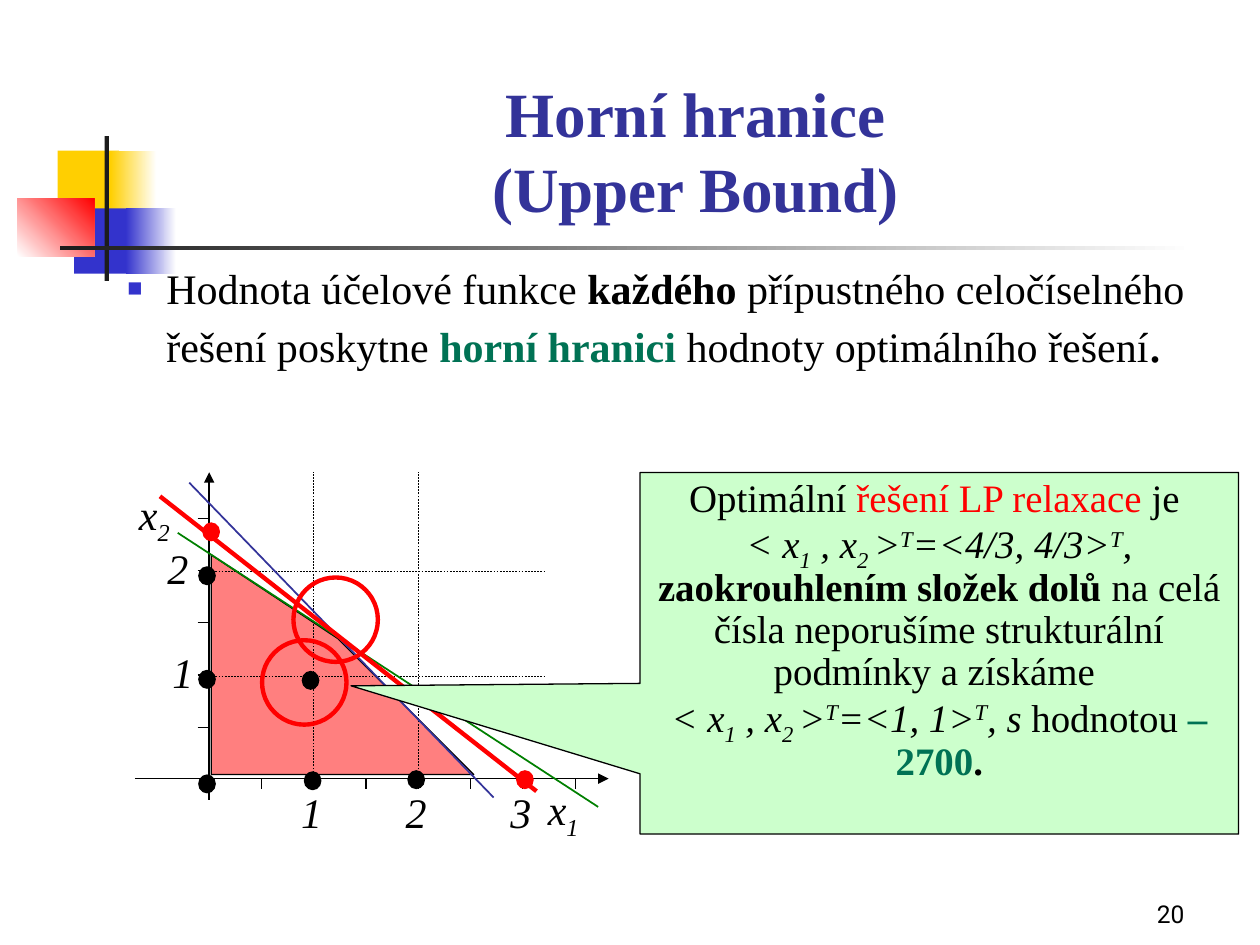
from copy import deepcopy
from typing import NamedTuple

from lxml import etree
from pptx import Presentation
from pptx.dml.color import RGBColor
from pptx.enum.dml import MSO_LINE
from pptx.enum.shapes import MSO_CONNECTOR, MSO_SHAPE
from pptx.enum.text import MSO_ANCHOR, MSO_AUTO_SIZE, PP_ALIGN
from pptx.oxml.ns import qn
from pptx.util import Inches, Pt

RECT, OVAL = MSO_SHAPE.RECTANGLE, MSO_SHAPE.OVAL
CALLOUT, STRAIGHT = MSO_SHAPE.RECTANGULAR_CALLOUT, MSO_CONNECTOR.STRAIGHT
LEFT, CENTER, RIGHT = PP_ALIGN.LEFT, PP_ALIGN.CENTER, PP_ALIGN.RIGHT
TOP, BOTTOM = MSO_ANCHOR.TOP, MSO_ANCHOR.BOTTOM
FIXED, DASH = MSO_AUTO_SIZE.NONE, MSO_LINE.DASH
SERIF, SANS = "Times New Roman", "Roboto"
COLORS = {
    "black": "000000", "white": "FFFFFF", "ink": "1C1C1C", "yellow": "FFCF01",
    "blue": "3333CC", "navy": "333399", "red": "FF0000", "green": "008000",
    "teal": "007254", "mint": "CCFFCC",
}
UNIT = 0.83
SUB, SUPER = {"italic": True, "base": -25}, {"italic": True, "base": 30}
BOLD, ITALIC = {"bold": True}, {"italic": True}


class Box(NamedTuple):
    """Left, top, width and height in inches."""
    left: float
    top: float
    width: float
    height: float

    def share(self, x, y, w, h):
        """Return the box at shares x, y with shares w, h of this one."""
        return Box(self.left + x * self.width, self.top + y * self.height,
                   w * self.width, h * self.height)

    def inches(self):
        """Return the four lengths in slide units."""
        return [Inches(value) for value in self]


def rgb(name):
    """Return the colour with this name."""
    return RGBColor.from_string(COLORS[name])


def add_xml(parent, tag, **attributes):
    """Append a drawing element to its parent."""
    return etree.SubElement(parent, qn("a:" + tag), attributes)


def add_span(para, text, size=24, color="black", font=SERIF, bold=False, italic=False, base=0):
    """Add formatted text, where a line feed makes a line break."""
    for number, line in enumerate(text.split("\n")):
        if number:
            para.add_line_break()
            para._p[-1].append(deepcopy(span._r.rPr))
        if line:
            span = para.add_run()
            span.text = line
            span.font.size, span.font.name = Pt(size), font
            span.font.bold, span.font.italic = bold, italic
            span.font.color.rgb = rgb(color)
            if base:
                span._r.get_or_add_rPr().set("baseline", str(base * 1000))


def fill_text(shape, paragraphs, align=LEFT, anchor=TOP, spacing=None, **style):
    """Write paragraphs of (text, format) spans into a shape."""
    frame = shape.text_frame
    frame.word_wrap, frame.auto_size, frame.vertical_anchor = True, FIXED, anchor
    for number, spans in enumerate(paragraphs):
        para = frame.add_paragraph() if number else frame.paragraphs[0]
        para.alignment, para.line_spacing = align, spacing
        for text, extra in spans:
            add_span(para, text, **{**style, **extra})
    return frame


def paint(shape, fill=None, line=None, weight=0.75):
    """Set the fill and outline of a shape and drop its shadow."""
    shape.shadow.inherit = False
    if fill:
        shape.fill.solid()
        shape.fill.fore_color.rgb = rgb(fill)
    else:
        shape.fill.background()
    if line:
        shape.line.color.rgb, shape.line.width = rgb(line), Pt(weight)
    else:
        shape.line.fill.background()
    return shape


def add_block(page, box, kind=RECT, **style):
    """Add a painted preset shape."""
    return paint(page.shapes.add_shape(kind, *box.inches()), **style)


def add_fade(page, box, start, end, angle=0):
    """Add a rectangle with a two-colour gradient."""
    fill = add_block(page, box).fill
    fill.gradient()
    fill.gradient_angle = angle
    for stop, name, position in zip(fill.gradient_stops, (start, end), (0, 1)):
        stop.color.rgb, stop.position = rgb(name), position


def add_ornament(page, box):
    """Draw the coloured squares and rules beside the title."""
    add_block(page, box.share(0.034, 0.1, 0.052, 0.45), fill="yellow")
    add_fade(page, box.share(0.079, 0.1, 0.039, 0.45), "yellow", "white")
    add_block(page, box.share(0.048, 0.5, 0.05, 0.45), fill="blue")
    add_fade(page, box.share(0.092, 0.5, 0.043, 0.45), "blue", "white")
    add_fade(page, box.share(0, 0.43, 0.065, 0.4), "white", "red", 45)
    add_block(page, box.share(0.074, 0, 0.0035, 1), fill="ink")
    add_fade(page, box.share(0.036, 0.76, 0.964, 0.03), "ink", "white")


def add_placeholder(page, number, box, spans, **style):
    """Move a template placeholder and write its text."""
    holder = page.placeholders[number]
    holder.left, holder.top, holder.width, holder.height = box.inches()
    return fill_text(holder, [spans], **style)


def add_body(page, box):
    """Write the bulleted statement."""
    spans = [("Hodnota účelové funkce ", {}), ("každého", BOLD),
             (" přípustného celočíselného řešení poskytne ", {}),
             ("horní hranici ", {"bold": True, "color": "teal"}),
             ("hodnoty optimálního řešení", {}), (".", {"size": 32})]
    para = add_placeholder(page, 1, box, spans, spacing=0.9).paragraphs[0]
    para.space_before = Pt(8)
    props = para._p.get_or_add_pPr()
    props.set("marL", str(Inches(0.83)))
    props.set("indent", str(Inches(-0.31)))
    add_xml(add_xml(props, "buClr"), "srgbClr", val=COLORS["blue"])
    add_xml(props, "buSzPct", val="60000")
    add_xml(props, "buFont", typeface=SERIF)
    add_xml(props, "buChar", char="■")


def add_chart_area(page, box):
    """Draw the feasible region, its axes, limits and points."""
    def spot(x, y):
        return box.left + x * UNIT, box.top + box.height - y * UNIT

    def line(start, end, color="black", weight=0.75, dash=None, arrow=False):
        ends = [Inches(value) for value in spot(*start) + spot(*end)]
        rule = page.shapes.add_connector(STRAIGHT, *ends)
        rule.line.color.rgb, rule.line.width = rgb(color), Pt(weight)
        if dash:
            rule.line.dash_style = dash
        if arrow:
            add_xml(rule._element.spPr.find(qn("a:ln")), "tailEnd", type="triangle")
        add_xml(rule._element.spPr, "effectLst")

    def around(x, y, width, height):
        left, top = spot(x, y)
        return Box(left - width / 2, top - height / 2, width, height)

    def dot(x, y, color="black"):
        add_block(page, around(x, y, 0.13, 0.14), OVAL, fill=color, line=color)

    def ring(x, y):
        add_block(page, around(x, y, 0.67, 0.67), OVAL, line="red", weight=2.5)

    def label(x, y, spans, width=1.0, align=CENTER):
        text_box = page.shapes.add_textbox(*around(x, y, width, 0.5).inches())
        fill_text(text_box, [spans], align=align, italic=True)

    corners = [[Inches(value) for value in spot(*corner)] for corner in
               ((0.02, 2.14), (0.02, 0.04), (2.53, 0.04), (1.23, 1.34))]
    outline = page.shapes.build_freeform(*corners[0])
    outline.add_line_segments(corners[1:], close=True)
    region = paint(outline.convert_to_shape(), fill="red", line="black")
    add_xml(region._element.spPr.find(".//" + qn("a:srgbClr")), "alpha", val="50000")

    line((0, -0.2), (0, 2.93), arrow=True)
    line((-0.71, 0), (3.82, 0), arrow=True)
    for step in range(1, 8):
        line((step / 2, 0), (step / 2, -0.1))
    for step in range(1, 6):
        line((-0.11, step / 2 - 0.01), (-0.01, step / 2 - 0.01))
    for step in (1, 2):
        line((0, step - 0.02), (3.22, step - 0.02), weight=0.25, dash=DASH)
        line((step, 0), (step, 2.93), weight=0.25, dash=DASH)
        label(-0.2 - step * 0.05, step + 0.02, [(str(step), {})])
    for step in (1, 2, 3):
        label(step - 0.02, -0.32, [(str(step), {})])
    for x, y in ((-0.02, -0.05), (0.97, 0.94), (-0.02, 0.95),
                 (1.98, -0.01), (0.99, -0.02), (-0.02, 1.94)):
        dot(x, y)
    line((-0.3, 2.35), (3.72, -0.27), "green", 1)
    line((-0.19, 2.83), (2.72, -0.18), "navy", 1)
    for x, y, index in ((-0.14, 2.53, "2"), (3.77, -0.29, "1")):
        label(x, y, [("x", {}), (index, SUB)], 1.08, LEFT)
    dot(0.02, 2.36, "red")
    dot(3.02, -0.01, "red")
    line((-0.47, 2.7), (3.13, -0.12), "red", 2.5)
    ring(0.91, 0.92)
    return lambda: ring(1.21, 1.52)


def solution(values):
    """Return the spans of a solution vector."""
    return [("< x", ITALIC), ("1", SUB), (" , x", ITALIC), ("2 ", SUB), (">", ITALIC),
            ("T", SUPER), (f"=<{values}>", ITALIC), ("T", SUPER)]


def add_callout(page, box):
    """Add the callout that explains the rounded solution."""
    callout = add_block(page, box, CALLOUT, fill="mint", line="black")
    callout.adjustments[0], callout.adjustments[1] = -0.983, 0.09
    first = [("Optimální", {}), (" řešení LP relaxace ", {"color": "red"}), ("je \n", {}),
             *solution("4/3, 4/3"), (", ", ITALIC), ("zaokrouhlením složek dolů", BOLD),
             (" na celá čísla neporušíme strukturální podmínky a získáme ", {})]
    second = [*solution("1, 1"), (", s ", ITALIC), ("hodnotou ", {}),
              ("–2700", {"bold": True, "color": "teal"}), (".", BOLD)]
    fill_text(callout, [first, second], align=CENTER, spacing=0.9, size=22.2)


def main():
    """Build and save the deck."""
    deck = Presentation()
    deck.slide_width, deck.slide_height = Inches(10), Inches(7.5)
    page = deck.slides.add_slide(deck.slide_layouts[1])
    add_ornament(page, Box(0.14, 1.08, 9.34, 1.15))
    number = page.shapes.add_textbox(*Box(7.42, 6.92, 2.08, 0.5).inches())
    fill_text(number, [[("20", {})]], align=RIGHT, anchor=BOTTOM, size=14, font=SANS)
    add_placeholder(page, 0, Box(1.26, 0.42, 8.52, 1.42), [("Horní hranice\n(Upper Bound)", {})],
                    align=CENTER, anchor=BOTTOM, size=36, color="navy", bold=True)
    add_body(page, Box(0.39, 2.08, 9.21, 1.67))
    add_optimum_ring = add_chart_area(page, Box(1.66, 3.75, 3.17, 2.43))
    add_callout(page, Box(5.08, 3.75, 4.75, 2.87))
    add_optimum_ring()
    deck.save("out.pptx")


if __name__ == "__main__":
    main()
